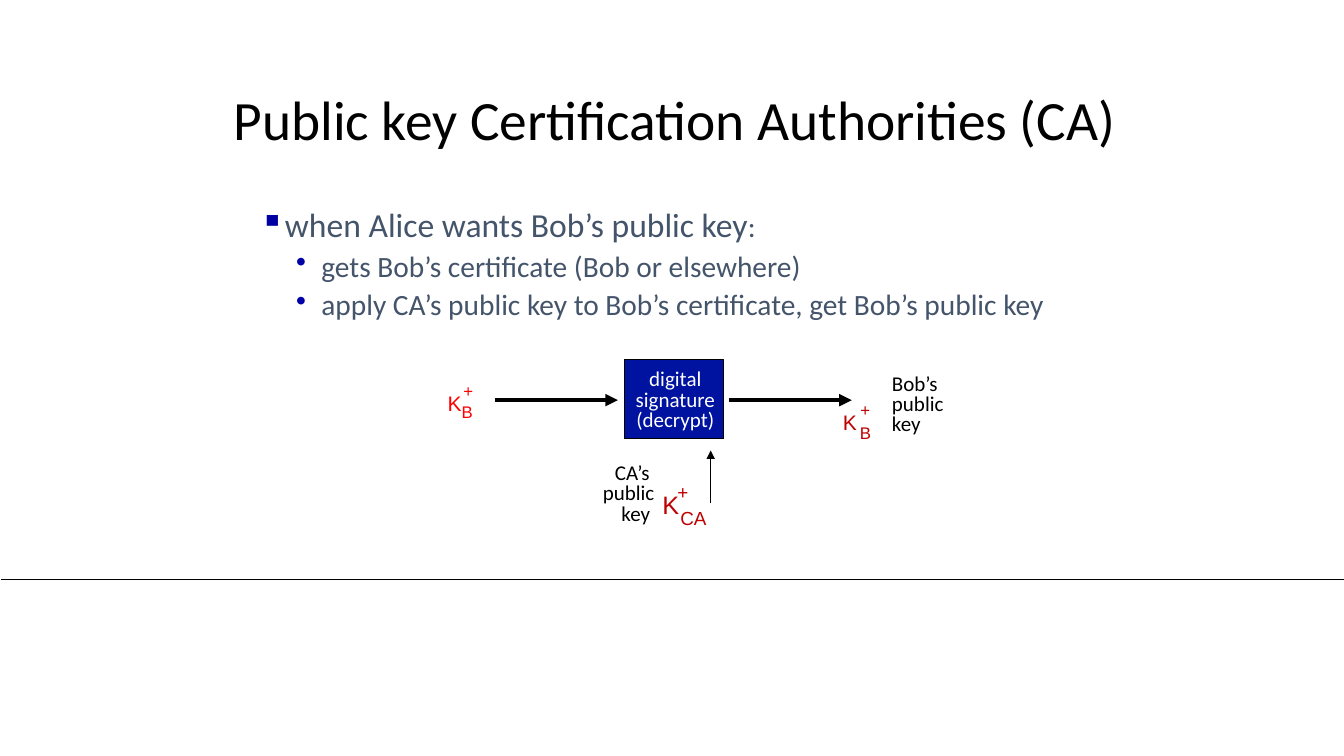
from dataclasses import dataclass

from lxml.etree import SubElement
from pptx import Presentation
from pptx.dml.color import RGBColor
from pptx.enum.shapes import MSO_CONNECTOR, MSO_SHAPE
from pptx.enum.text import MSO_ANCHOR, MSO_AUTO_SIZE, PP_ALIGN
from pptx.oxml.ns import qn
from pptx.util import Inches, Pt


@dataclass(frozen=True)
class Theme:
    """Colours, faces, type sizes in points and the grid step in inches."""
    black: str = "000000"
    white: str = "FFFFFF"
    slate: str = "44546A"
    red: str = "FF0000"
    dark: str = "C00000"
    navy: str = "0012A0"
    square: str = "0000A3"
    dot: str = "0000A8"
    sans: str = "Calibri"
    math: str = "Arial"
    title: float = 39.6
    lead: float = 24
    point: float = 21
    large: float = 18
    label: float = 15
    medium: float = 13.5
    small: float = 12
    step: float = 0.1


T = Theme()
COLS, ROWS = 133.33, 75


def grid(*cells):
    """Turn counts of grid columns or rows into lengths."""
    return [Inches(cell * T.step) for cell in cells]


def write(slide, box, lines, size=T.label, color=T.black, face=T.sans, align=PP_ALIGN.LEFT,
          anchor=MSO_ANCHOR.TOP, wrap=True, grow=True, space=1.0, fill=None):
    """Set lines, each a string or a list of (text, size) runs, in a text box."""
    shape = slide.shapes.add_textbox(*grid(*box))
    if fill:
        shape.fill.solid()
        shape.fill.fore_color.rgb = RGBColor.from_string(fill)
    frame = shape.text_frame
    frame.word_wrap = wrap
    frame.auto_size = MSO_AUTO_SIZE.SHAPE_TO_FIT_TEXT if grow else MSO_AUTO_SIZE.NONE
    frame.vertical_anchor = anchor
    for i, line in enumerate(lines):
        para = frame.add_paragraph() if i else frame.paragraphs[0]
        para.alignment = align
        para.line_spacing = space
        for text, points in [(line, size)] if isinstance(line, str) else line:
            run = para.add_run()
            run.text = text
            run.font.size = Pt(points)
            run.font.name = face
            run.font.color.rgb = RGBColor.from_string(color)
    return frame.paragraphs


def bullet(para, char, color, left, hang):
    """Give a paragraph a coloured bullet and a hanging indent."""
    props = para._p.get_or_add_pPr()
    indent, back = grid(left, hang)
    props.set("marL", str(indent))
    props.set("indent", str(-back))
    SubElement(SubElement(props, qn("a:buClr")), qn("a:srgbClr")).set("val", color)
    SubElement(props, qn("a:buChar")).set("char", char)


def rule(slide, start, end, width=0.5, arrow=False):
    """Draw a straight black line, with an arrowhead at its end if asked."""
    line = slide.shapes.add_connector(MSO_CONNECTOR.STRAIGHT, *grid(*start, *end))
    line.line.width = Pt(width)
    line.line.color.rgb = RGBColor.from_string(T.black)
    if arrow:
        SubElement(line.line._get_or_add_ln(), qn("a:tailEnd")).set("type", "triangle")
    SubElement(line._element.spPr, qn("a:effectLst"))


def key(slide, box, sub, low, high, size=T.label, minor=T.small, color=T.dark, fill=None):
    """Set a key symbol K in a box, with its subscript and plus sign offset from it."""
    left, top, wide, tall = box
    style = dict(color=color, face=T.math, align=PP_ALIGN.CENTER, wrap=False)
    write(slide, box, ["K "], size=size, fill=fill, **style)
    for text, (right, down) in ((sub, low), ("+", high)):
        width = 1.6 + 1.5 * len(text)
        write(slide, (left + right, top + down, width, minor / 4), [text], size=minor, **style)


def heading(slide, box):
    """Set the slide title."""
    write(slide, box, ["Public key Certification Authorities (CA)"], size=T.title,
          anchor=MSO_ANCHOR.MIDDLE, grow=False, space=0.9)


def points(slide, box):
    """Set the lead point and its two steps."""
    lead, *steps = write(
        slide, box,
        [[("when Alice wants Bob’s public key", T.lead), (":", T.point)],
         "gets Bob’s certificate (Bob or elsewhere)",
         "apply CA’s public key to Bob’s certificate, get Bob’s public key"],
        size=T.point, color=T.slate, grow=False, space=0.9)
    bullet(lead, "▪", T.square, 3.9, 2.4)
    for step in steps:
        step.level = 1
        step.space_before = Pt(5)
        bullet(step, "•", T.dot, 7.6, 2.5)


def block(slide, box):
    """Draw the decrypting block with its label."""
    left, top, wide, tall = box
    shape = slide.shapes.add_shape(MSO_SHAPE.RECTANGLE, *grid(*box))
    shape.shadow.inherit = False
    shape.fill.solid()
    shape.fill.fore_color.rgb = RGBColor.from_string(T.navy)
    shape.line.color.rgb = RGBColor.from_string(T.black)
    shape.line.width = Pt(0.75)
    write(slide, (left, top + 0.6, wide + 0.2, 7.1), ["digital", "signature", "(decrypt)"],
          color=T.white, align=PP_ALIGN.CENTER, wrap=False, space=0.8)


def flow(slide, box):
    """Draw the keys, the block and the arrows between them."""
    left, top, wide, tall = box
    mid = top + 4
    write(slide, (left + wide - 7.9, top + 1, 7.9, 7.1), ["Bob’s", "public", "key"], space=0.8)
    key(slide, (left + 39.2, top + 4.4, 4, 3.5), "B", (1.7, 1.3), (1.7, -0.9))
    key(slide, (left, top + 2.5, 4, 3.5), "B", (1.4, 1.2), (1.5, -0.9),
        color=T.red, fill=T.white)
    write(slide, (left + 14.6, top + 9.9, 7.9, 7.1),
          ["CA’s ", "public", [("key", T.label), (" ", T.medium)]],
          align=PP_ALIGN.RIGHT, space=0.8)
    key(slide, (left + 21.3, top + 12.4, 4.4, 4), "CA", (1.8, 1.7), (1.5, -0.9),
        size=T.large, minor=T.medium)
    rule(slide, (left + 27.1, top + 14.2), (left + 27.1, top + 9), arrow=True)
    block(slide, (left + 18.6, top, 9.8, 7.8))
    for start in (5.7, 28.9):
        rule(slide, (left + start, mid), (left + start + 12.2, mid), width=3, arrow=True)


def main():
    """Build the slide and save it."""
    deck = Presentation()
    deck.slide_width, deck.slide_height = grid(COLS, ROWS)
    slide = deck.slides.add_slide(deck.slide_layouts[6])
    rule(slide, (0.1, 57.5), (COLS, 57.5))
    heading(slide, (22.2, 8.5, 103.2, 7.3))
    points(slide, (23.3, 20.2, 91.8, 13.5))
    flow(slide, (43.4, 35.7, 52, 17))
    deck.save("out.pptx")


if __name__ == "__main__":
    main()
